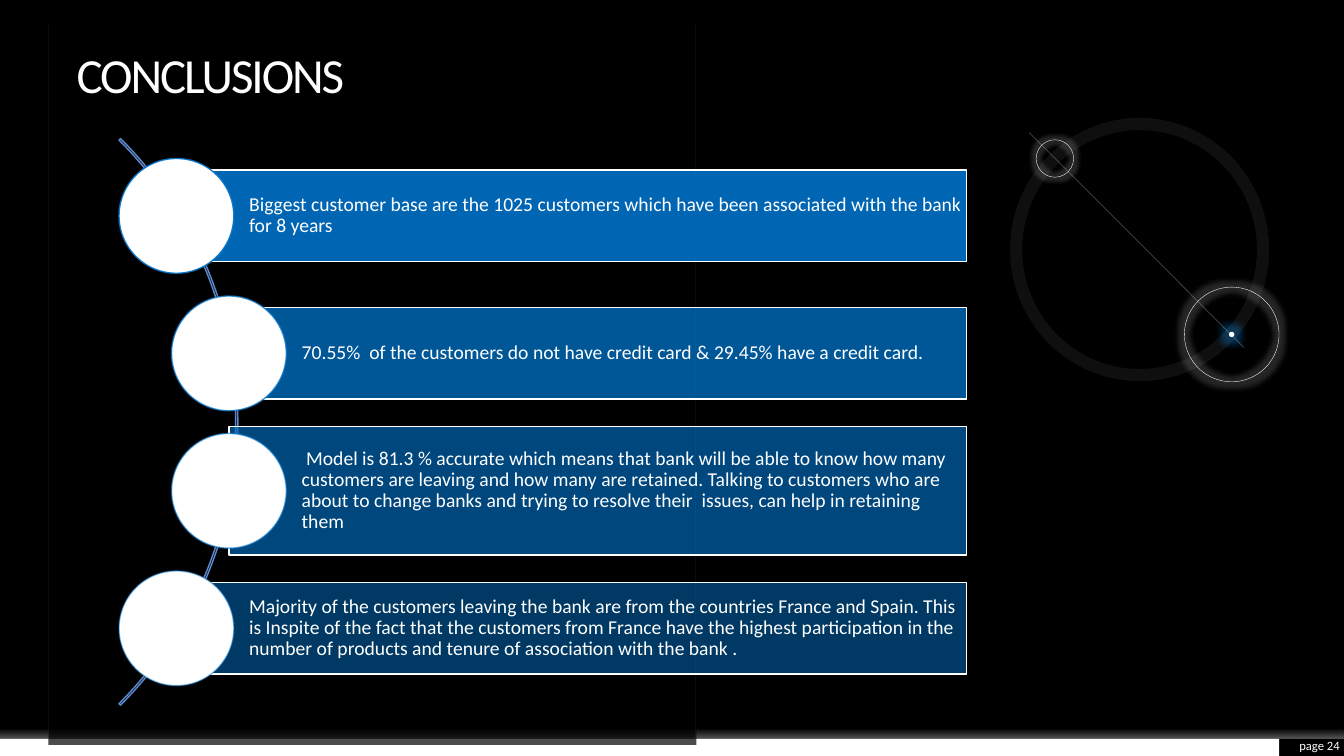
"""Build the dark conclusions slide with four findings along an arc."""
from dataclasses import dataclass

from pptx import Presentation
from pptx.dml.color import RGBColor
from pptx.enum.shapes import MSO_CONNECTOR as Connector, MSO_SHAPE as Preset
from pptx.enum.text import MSO_ANCHOR as Anchor, PP_ALIGN as Align
from pptx.oxml.ns import qn
from pptx.util import Pt
from lxml.etree import SubElement


@dataclass(frozen=True)
class Theme:
    """Hold the colours, font and type sizes of the slide."""
    black: str = "000000"
    white: str = "FFFFFF"
    blue: str = "0072C7"
    arc: str = "5E89CE"
    guide: str = "F2F2F2"
    axis: str = "E7E6E6"
    glow: str = "C1E4FF"
    font: str = "Calibri"
    title: float = 35
    body: float = 14
    footer: float = 9


THEME = Theme()
WIDTH, HEIGHT = 960, 540
FINDINGS = [
    (126, 65.5, "Biggest customer base are the 1025 customers which have been "
     "associated with the bank for 8 years"),
    (163.5, 65.5, "70.55%  of the customers do not have credit card & 29.45% "
     "have a credit card."),
    (163.5, 92, " Model is 81.3 % accurate which means that bank will be able to "
     "know how many customers are leaving and how many are retained. Talking to "
     "customers who are about to change banks and trying to resolve their  issues, "
     "can help in retaining them"),
    (126, 65.5, "Majority of the customers leaving the bank are from the countries "
     "France and Spain. This is Inspite of the fact that the customers from France "
     "have the highest participation in the  number of products and tenure of "
     "association with the bank ."),
]


def set_alpha(color, percent):
    """Give a colour element an opacity in percent."""
    SubElement(color, qn("a:alpha")).set("val", str(round(percent * 1000)))


def set_line(shape, color, width, alpha=100):
    """Draw the outline of a shape or connector."""
    shape.line.color.rgb = RGBColor.from_string(color)
    shape.line.width = Pt(width)
    if alpha < 100:
        set_alpha(shape._element.spPr.xpath("./a:ln//a:srgbClr")[0], alpha)


def add_preset(slide, preset, box, fill=None, alpha=100, line=None):
    """Add a preset shape without shadow; line is colour, width and opacity."""
    shape = slide.shapes.add_shape(preset, *map(Pt, box))
    shape.shadow.inherit = False
    if fill:
        shape.fill.solid()
        shape.fill.fore_color.rgb = RGBColor.from_string(fill)
        if alpha < 100:
            set_alpha(shape._element.spPr.xpath("./a:solidFill/a:srgbClr")[0], alpha)
    else:
        shape.fill.background()
    if line:
        set_line(shape, *line)
    else:
        shape.line.fill.background()
    return shape


def add_circle(slide, center, diameter, **style):
    """Add a circle around a centre point."""
    x, y = center
    box = (x - diameter / 2, y - diameter / 2, diameter, diameter)
    return add_preset(slide, Preset.OVAL, box, **style)


def add_glow(shape, color, radius, alpha):
    """Put a soft glow around a shape."""
    effects = shape._element.spPr.find(qn("a:effectLst"))
    glow = SubElement(effects, qn("a:glow"), rad=str(Pt(radius)))
    set_alpha(SubElement(glow, qn("a:srgbClr"), val=color), alpha)


def add_rule(slide, start, end, color, width, alpha):
    """Add a straight translucent line."""
    rule = slide.shapes.add_connector(Connector.STRAIGHT, *map(Pt, start + end))
    set_line(rule, color, width, alpha)
    SubElement(rule._element.spPr, qn("a:effectLst"))


def write(shape, text, size, anchor=Anchor.MIDDLE, align=Align.LEFT,
          insets=(0, 0, 0, 0), line_spacing=1.0):
    """Write one white paragraph into a shape and return its run."""
    frame = shape.text_frame
    frame.word_wrap = True
    frame.vertical_anchor = anchor
    (frame.margin_left, frame.margin_top,
     frame.margin_right, frame.margin_bottom) = map(Pt, insets)
    paragraph = frame.paragraphs[0]
    paragraph.alignment = align
    paragraph.line_spacing = line_spacing
    run = paragraph.add_run()
    run.text = text
    run.font.name = THEME.font
    run.font.size = Pt(size)
    run.font.color.rgb = RGBColor.from_string(THEME.white)
    return run


def add_backdrop(slide):
    """Add the black ground, bottom strip, shaded panel and guides."""
    slide.background.fill.solid()
    slide.background.fill.fore_color.rgb = RGBColor.from_string(THEME.black)
    add_preset(slide, Preset.RECTANGLE, (0, 527.8, 913.7, 12.2), THEME.white)
    fade = add_preset(slide, Preset.RECTANGLE, (0, 515.5, WIDTH, 12.3))
    fade.fill.gradient()
    fade.fill.gradient_angle = 270
    for stop, position in zip(fade.fill.gradient_stops, (0.4, 1)):
        stop.position = position
        stop.color.rgb = RGBColor.from_string(THEME.white)
    for color, alpha in zip(fade._element.spPr.xpath("./a:gradFill//a:srgbClr"), (0, 35)):
        set_alpha(color, alpha)
    add_preset(slide, Preset.RECTANGLE, (34.5, 306.7, 463, 225.4), THEME.black, 70)
    for x in (497, 34.5):
        add_rule(slide, (x, 16.5), (x, 527.8), THEME.guide, 0.25, 15)


def add_orbit(slide):
    """Add the ring ornament with its two glowing circles."""
    hub = (879.8, 238.9)
    for center, diameter, radius in ((hub, 67.6, 8), ((753.5, 113.2), 26.8, 6)):
        circle = add_circle(slide, center, diameter, line=(THEME.white, 0.25))
        add_glow(circle, THEME.white, radius, 15)
    dot = add_circle(slide, hub, 3.8, fill=THEME.white)
    add_glow(dot, THEME.blue, 10, 40)
    add_preset(slide, Preset.OVAL, (725.8, 88.6, 176.4, 179.3),
               line=(THEME.white, 8.75, 6))
    add_rule(slide, (735.1, 94.6), (888.5, 248.2), THEME.axis, 0.5, 30)


def add_findings(slide):
    """Add the arc and the evenly spaced cards with their circles."""
    arc = add_preset(slide, Preset.BLOCK_ARC, (-402.5, 15.1, 572.4, 572.4),
                     line=(THEME.arc, 1))
    for index, value in enumerate((189, 27, 0.0027)):
        arc.adjustments[index] = value
    right, first, step = 690.5, 154.2, 98.2
    for index, (left, height, text) in enumerate(FINDINGS):
        middle = first + index * step
        alpha = 90 - 40 * index / 3
        card = add_preset(slide, Preset.RECTANGLE,
                          (left, middle - height / 2, right - left, height),
                          THEME.blue, alpha, (THEME.white, 1))
        write(card, text, THEME.body, insets=(52, 2.8, 2.8, 2.8), line_spacing=0.9)
        add_circle(slide, (left, middle), 82, fill=THEME.white,
                   line=(THEME.blue, 1, alpha))


def add_labels(slide):
    """Add the title and the page label."""
    title = slide.shapes.add_textbox(*map(Pt, (54.7, 17.3, 400, 56.9)))
    run = write(title, "CONCLUSIONS", THEME.title, Anchor.BOTTOM, line_spacing=0.9)
    run._r.get_or_add_rPr().set("spc", "-150")
    page = slide.shapes.add_textbox(*map(Pt, (913.7, 526.3, 43.2, 12.2)))
    write(page, "page 24", THEME.footer, align=Align.RIGHT)


def main():
    """Build and save the slide."""
    presentation = Presentation()
    presentation.slide_width, presentation.slide_height = Pt(WIDTH), Pt(HEIGHT)
    slide = presentation.slides.add_slide(presentation.slide_layouts[6])
    add_backdrop(slide)
    add_orbit(slide)
    add_labels(slide)
    add_findings(slide)
    presentation.save("out.pptx")


if __name__ == "__main__":
    main()
